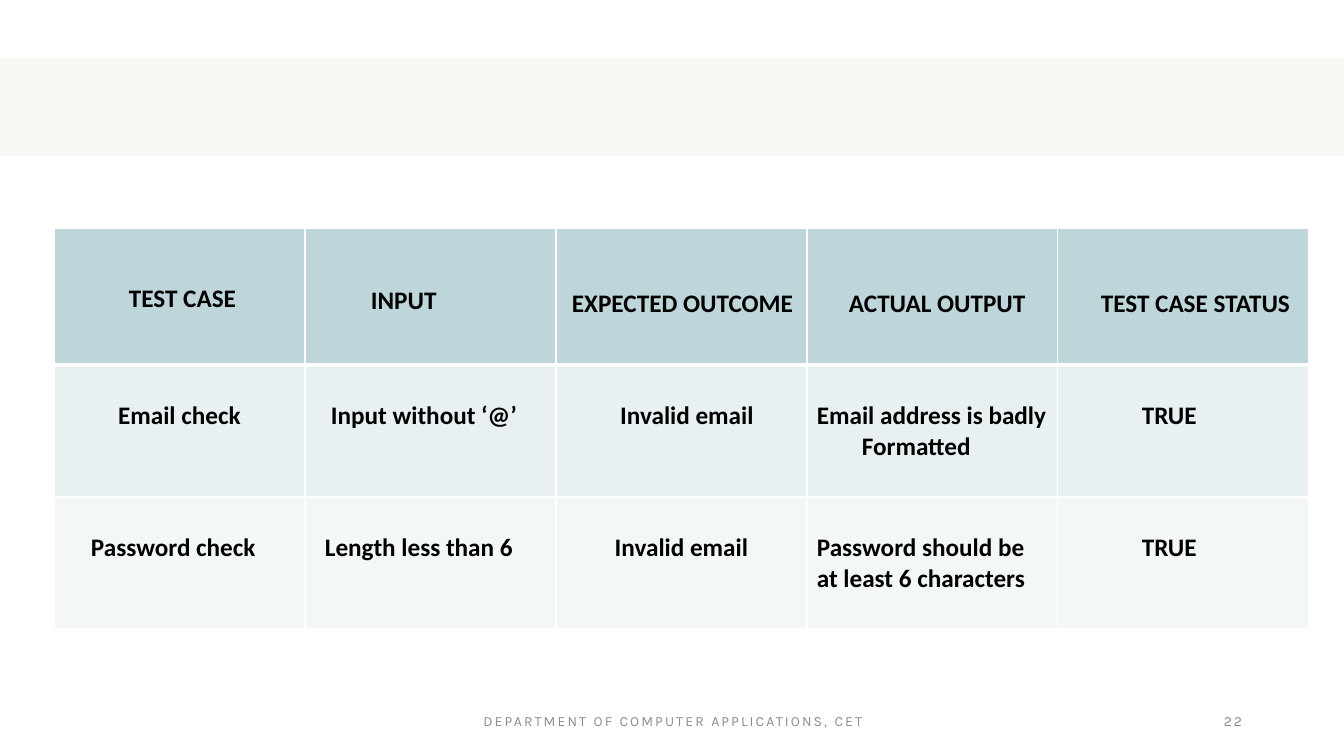
from dataclasses import dataclass

import pptx
import pptx.dml.color
import pptx.enum.shapes
import pptx.enum.text
import pptx.oxml
import pptx.oxml.ns
import pptx.util
from lxml import etree

EMU_PER_PX = 914400 / 100.8
SLIDE_WIDTH, SLIDE_HEIGHT = 1344, 756
COLUMN_WIDTH = 251
ROW_HEIGHTS = (137, 132, 132)
TABLE_LEFT, TABLE_TOP = 54, 228
HEADING_WIDTH, TEXT_HEIGHT = 336, 40
CELL_MARGIN, CELL_TOP = 10, 36

COLORS = {
    "band": "D8CAB7",
    "footer": "8C8C8C",
    "text": "000000",
    "border": "FFFFFF",
}
ROW_FILLS = ("BED6DA", "E8F0F1", "F4F7F8")

ALIGN = pptx.enum.text.PP_ALIGN


@dataclass(frozen=True)
class Heading:
    text: str
    left: int
    top: int


@dataclass(frozen=True)
class Entry:
    """Cell lines with the left margin and the extra indent of later lines."""
    lines: tuple[str, ...]
    left: int = CELL_MARGIN
    align: ALIGN = ALIGN.LEFT
    later_indent: int = 0


@dataclass(frozen=True)
class FooterItem:
    text: str
    left: int
    width: int
    align: ALIGN


HEADINGS = (
    Heading("TEST CASE", 119, 277),
    Heading("INPUT", 361, 279),
    Heading("EXPECTED OUTCOME", 562, 282),
    Heading("ACTUAL OUTPUT", 839, 282),
    Heading("TEST CASE STATUS", 1091, 282),
)

TEST_ROWS = (
    (
        Entry(("Email check",), align=ALIGN.CENTER),
        Entry(("Input without ‘@’",), left=26),
        Entry(("Invalid email",), left=21, align=ALIGN.CENTER),
        Entry(("Email address is badly", "Formatted"), later_indent=45),
        Entry(("TRUE",), left=84),
    ),
    (
        Entry(("Password check",), left=37),
        Entry(("Length less than 6",), left=20),
        Entry(("Invalid email",), align=ALIGN.CENTER),
        Entry(("Password should be at least 6 characters",)),
        Entry(("TRUE",), left=84),
    ),
)

FOOTER_ITEMS = (
    FooterItem("DEPARTMENT OF COMPUTER APPLICATIONS, CET", 446, 454, ALIGN.CENTER),
    FooterItem("22", 950, 302, ALIGN.RIGHT),
)


def px(length: int) -> pptx.util.Emu:
    return pptx.util.Emu(round(length * EMU_PER_PX))


def rgb(color: str) -> pptx.dml.color.RGBColor:
    return pptx.dml.color.RGBColor.from_string(color)


def style_paragraph(paragraph, font_name: str, size: int, color: str, bold: bool) -> None:
    font = paragraph.font
    font.name, font.size, font.bold = font_name, pptx.util.Pt(size), bold
    font.color.rgb = rgb(color)


def add_band(slide) -> None:
    band = slide.shapes.add_shape(
        pptx.enum.shapes.MSO_SHAPE.RECTANGLE, 0, px(58), px(SLIDE_WIDTH), px(98))
    band.shadow.inherit = False
    band.line.fill.background()
    band.fill.solid()
    band.fill.fore_color.rgb = rgb(COLORS["band"])
    color = band.fill._xPr.find(".//" + pptx.oxml.ns.qn("a:srgbClr"))
    etree.SubElement(color, pptx.oxml.ns.qn("a:alpha"), val="15000")


def add_text(slide, text: str, left: int, top: int, width: int):
    """Add a one-line text box and return its shape and paragraph."""
    box = slide.shapes.add_textbox(px(left), px(top), px(width), px(TEXT_HEIGHT))
    box.text_frame.word_wrap = True
    paragraph = box.text_frame.paragraphs[0]
    paragraph.add_run().text = text
    return box, paragraph


def add_footer_item(slide, item: FooterItem) -> None:
    box, paragraph = add_text(slide, item.text, item.left, 701, item.width)
    box.text_frame.vertical_anchor = pptx.enum.text.MSO_ANCHOR.MIDDLE
    paragraph.alignment = item.align
    style_paragraph(paragraph, "Karla", 10, COLORS["footer"], False)
    paragraph.runs[0]._r.get_or_add_rPr().set("spc", "150")


def add_heading(slide, heading: Heading) -> None:
    width = min(HEADING_WIDTH, SLIDE_WIDTH - heading.left)
    _, paragraph = add_text(slide, heading.text, heading.left, heading.top, width)
    style_paragraph(paragraph, "Calibri", 18, COLORS["text"], True)


def set_borders(cell, top: int, bottom: int) -> None:
    """Draw the cell borders; top and bottom are widths in points."""
    properties = cell._tc.get_or_add_tcPr()
    widths = {"lnL": 1, "lnR": 1, "lnT": top, "lnB": bottom}
    for position, (side, width) in enumerate(widths.items()):
        line = pptx.oxml.parse_xml(
            f'<a:{side} {pptx.oxml.ns.nsdecls("a")} w="{pptx.util.Pt(width)}">'
            f'<a:solidFill><a:srgbClr val="{COLORS["border"]}"/></a:solidFill></a:{side}>')
        properties.insert(position, line)


def fill_entry(cell, entry: Entry) -> None:
    cell.margin_left, cell.margin_right = px(entry.left), px(CELL_MARGIN)
    cell.margin_top = px(CELL_TOP)
    cell.text_frame.text = "\n".join(entry.lines)
    for position, paragraph in enumerate(cell.text_frame.paragraphs):
        paragraph.alignment = entry.align
        style_paragraph(paragraph, "Calibri", 18, COLORS["text"], True)
        if position and entry.later_indent:
            paragraph._p.get_or_add_pPr().set("marL", str(px(entry.later_indent)))


def add_test_table(slide) -> None:
    columns = len(HEADINGS)
    table = slide.shapes.add_table(
        len(ROW_HEIGHTS), columns, px(TABLE_LEFT), px(TABLE_TOP),
        px(COLUMN_WIDTH * columns), px(sum(ROW_HEIGHTS))).table
    table.horz_banding = False
    for column in table.columns:
        column.width = px(COLUMN_WIDTH)
    for index, (row, height, color) in enumerate(zip(table.rows, ROW_HEIGHTS, ROW_FILLS)):
        row.height = px(height)
        for cell in row.cells:
            cell.fill.solid()
            cell.fill.fore_color.rgb = rgb(color)
            set_borders(cell, top=3 if index == 1 else 1, bottom=3 if index == 0 else 1)
    for row_index, entries in enumerate(TEST_ROWS, start=1):
        for column_index, entry in enumerate(entries):
            fill_entry(table.cell(row_index, column_index), entry)


def main() -> None:
    presentation = pptx.Presentation()
    presentation.slide_width = px(SLIDE_WIDTH)
    presentation.slide_height = px(SLIDE_HEIGHT)
    slide = presentation.slides.add_slide(presentation.slide_layouts[6])
    add_band(slide)
    for item in FOOTER_ITEMS:
        add_footer_item(slide, item)
    add_test_table(slide)
    for heading in HEADINGS:
        add_heading(slide, heading)
    presentation.save("out.pptx")


if __name__ == "__main__":
    main()
